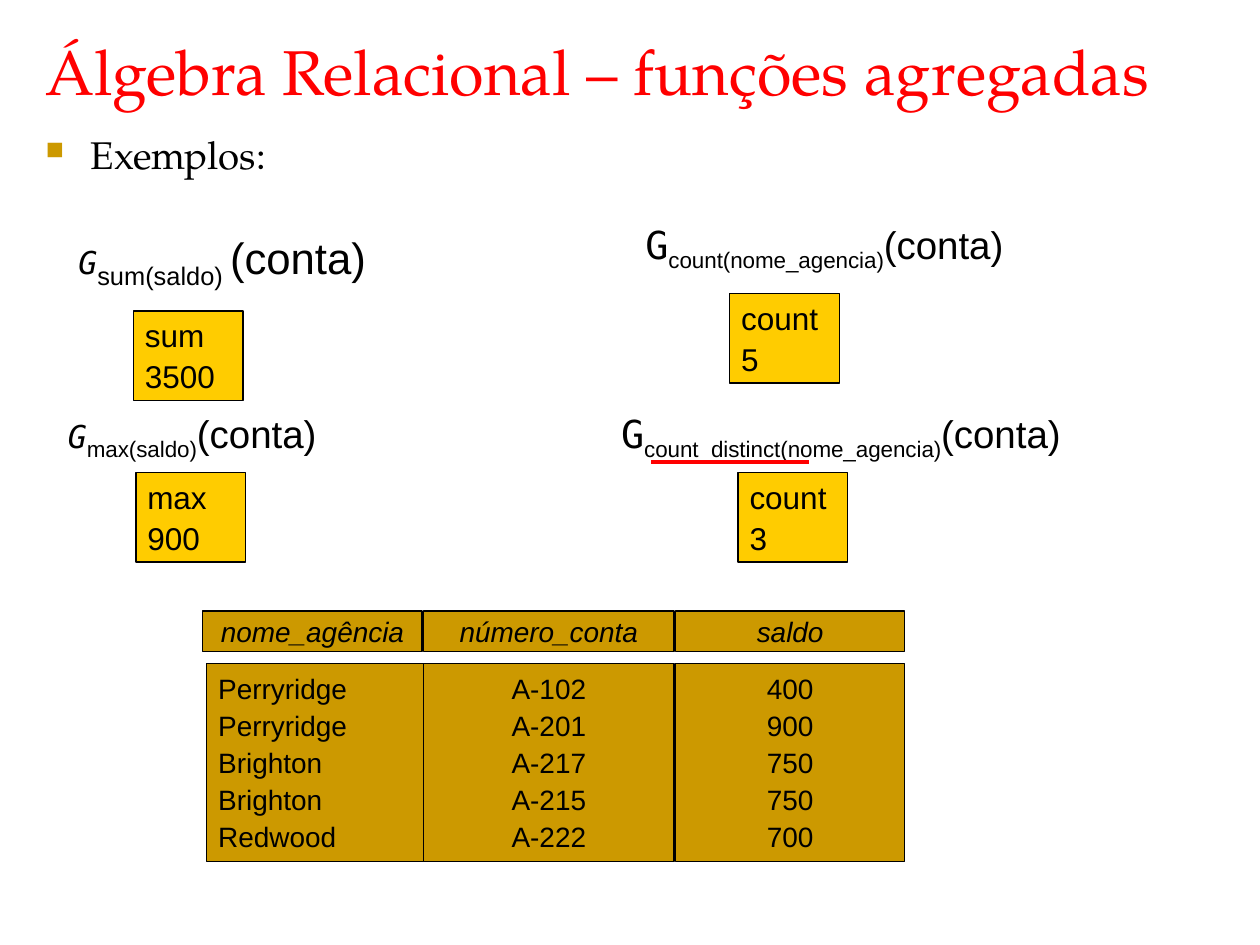
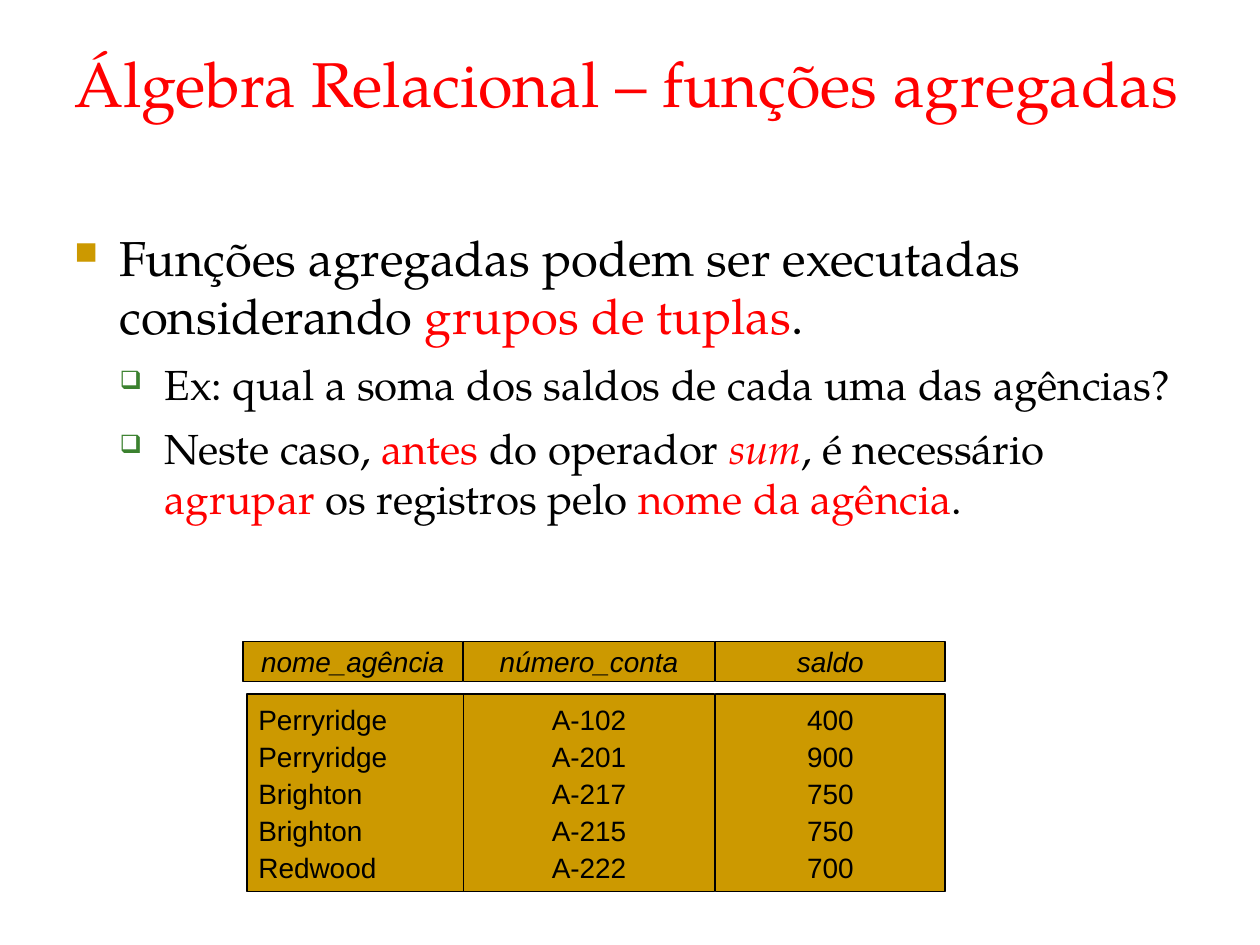
from lxml.etree import SubElement
from pptx import Presentation
from pptx.dml.color import RGBColor
from pptx.enum.shapes import MSO_CONNECTOR, MSO_SHAPE
from pptx.enum.text import MSO_ANCHOR, MSO_AUTO_SIZE, PP_ALIGN
from pptx.oxml.ns import qn
from pptx.util import Cm, Pt

RED = RGBColor(0xFF, 0x00, 0x00)
BLACK = RGBColor(0x00, 0x00, 0x00)
OCHRE = RGBColor(0xCC, 0x99, 0x00)
YELLOW = RGBColor(0xFF, 0xCC, 0x00)
GREEN = RGBColor(0x3B, 0x81, 0x2F)

SERIF, SANS, MONO = "TeX Gyre Pagella", "Arial", "DejaVu Sans Mono"
TITLE = "Álgebra Relacional – funções agregadas"

# Per outline level: character, colour, size in percent, space before in points
BULLETS = [("■", OCHRE, 65, 8.1), ("❑", GREEN, 60, 7.1)]
BULLET_INDENT = 0.91

# Per column of the relation: heading, left offset, width, alignment, values
COLUMNS = [
    ("nome_agência", 0, 4.42, PP_ALIGN.LEFT,
     ["Perryridge", "Perryridge", "Brighton", "Brighton", "Redwood"]),
    ("número_conta", 4.45, 5.05, PP_ALIGN.CENTER,
     ["A-102", "A-201", "A-217", "A-215", "A-222"]),
    ("saldo", 9.53, 4.62, PP_ALIGN.CENTER,
     ["400", "900", "750", "750", "700"]),
]


def add_span(para, text, name, size, color=BLACK, italic=False):
    span = para.add_run()
    span.text = text
    formats = {"name": name, "size": Pt(size), "italic": italic}
    for attribute, value in formats.items():
        setattr(span.font, attribute, value)
    span.font.color.rgb = color
    return span


def set_frame(box, **formats):
    """Give the text frame its insets and any other format values."""
    frame = box.text_frame
    insets = {"margin_left": Cm(0.23), "margin_right": Cm(0.23),
              "margin_top": Cm(0.13), "margin_bottom": Cm(0.13)}
    for attribute, value in {**insets, **formats}.items():
        setattr(frame, attribute, value)
    return frame


def add_text(page, left, top, width, height, **formats):
    box = page.shapes.add_textbox(Cm(left), Cm(top), Cm(width), Cm(height))
    return set_frame(box, **{"word_wrap": True, **formats})


def add_cell(shapes, area, fill, lines, size, align=PP_ALIGN.LEFT,
             italic=False, **formats):
    """Add an outlined rectangle with one paragraph for each line."""
    cell = shapes.add_shape(MSO_SHAPE.RECTANGLE, *map(Cm, area))
    cell.shadow.inherit = False
    cell.fill.solid()
    cell.fill.fore_color.rgb = fill
    cell.line.color.rgb = BLACK
    cell.line.width = Pt(0.75)
    frame = set_frame(cell, **formats)
    for index, line in enumerate(lines):
        para = frame.add_paragraph() if index else frame.paragraphs[0]
        para.alignment = align
        para.space_before = Pt(1 if index else 0)
        para.space_after = Pt(1)
        add_span(para, line, SANS, size, italic=italic)


def add_title(page, left, top):
    frame = add_text(page, left, top, 22.86, 3.18)
    add_span(frame.paragraphs[0], TITLE, SERIF, 36, RED)


def set_bullet(para, level):
    char, color, percent, _ = BULLETS[level]
    para.level = level
    props = para._p.get_or_add_pPr()
    props.set("marL", str(Cm(BULLET_INDENT * (level + 1))))
    props.set("indent", str(-Cm(BULLET_INDENT)))
    SubElement(SubElement(props, qn("a:buClr")), qn("a:srgbClr"), val=str(color))
    SubElement(props, qn("a:buSzPct"), val=str(percent * 1000))
    SubElement(props, qn("a:buChar"), char=char)


def add_outline(page, left, top, width, height, items):
    """Add bullets from (level, size, spans); a span is (text, color, italic)."""
    frame = add_text(page, left, top, width, height)
    for index, (level, size, spans) in enumerate(items):
        para = frame.add_paragraph() if index else frame.paragraphs[0]
        set_bullet(para, level)
        para.space_before = Pt(BULLETS[level][3] if index else 0)
        para.space_after = Pt(0.6)
        for text, *style in spans:
            add_span(para, text, SERIF, size, *style)


def add_relation(page, left, top):
    """Add the account relation: a heading row above one tall cell per column."""
    group = page.shapes.add_group_shape()
    frame = {"vertical_anchor": MSO_ANCHOR.MIDDLE, "word_wrap": False}
    for index, (heading, offset, width, align, values) in enumerate(COLUMNS):
        x = left + offset
        add_cell(group.shapes, (x, top, width, 0.81), OCHRE, [heading], 16,
                 PP_ALIGN.CENTER, italic=True, **frame)
        inset = 0 if index else 0.08
        add_cell(group.shapes, (x + inset, top + 1.06, width, 3.99), OCHRE,
                 values, 16, align, **frame)


def add_formula(page, area, subscript, size, symbol_size, italic, wrap):
    frame = add_text(page, *area, word_wrap=wrap,
                     auto_size=MSO_AUTO_SIZE.SHAPE_TO_FIT_TEXT)
    para = frame.paragraphs[0]
    add_span(para, "G", MONO, symbol_size, italic=italic)
    lowered = add_span(para, subscript, SANS, size)
    lowered._r.get_or_add_rPr().set("baseline", "-25000")
    add_span(para, "(conta)", SANS, size)


def add_result(page, left, top, name, value):
    add_cell(page.shapes, (left, top, 2.21, 1.8), YELLOW, [name, value], 18,
             word_wrap=True, auto_size=MSO_AUTO_SIZE.SHAPE_TO_FIT_TEXT)


def add_underline(page, left, top, width):
    line = page.shapes.add_connector(MSO_CONNECTOR.STRAIGHT, Cm(left), Cm(top),
                                     Cm(left + width), Cm(top))
    line.line.color.rgb = RED
    line.line.width = Pt(2.25)
    SubElement(line._element.spPr, qn("a:effectLst"))


def build_examples(page):
    add_title(page, 0.69, 0.53)
    add_outline(page, 0.69, 2.51, 10.64, 3.61, [(0, 22, [("Exemplos:",)])])
    add_relation(page, 4.09, 12.32)

    add_result(page, 2.69, 6.27, "sum", "3500")
    add_result(page, 2.74, 9.53, "max", "900")
    add_result(page, 14.71, 5.92, "count", "5")
    add_result(page, 14.88, 9.53, "count", "3")

    add_formula(page, (1.35, 4.52, 6.55, 1.45), "sum(saldo) ", 25, 18, True, False)
    add_formula(page, (1.14, 8.13, 5.51, 1.3), "max(saldo)", 22, 18, True, False)
    add_formula(page, (12.78, 4.32, 7.77, 1.3), "count(nome_agencia)",
                22, 22, False, False)
    add_formula(page, (12.29, 8.13, 12.19, 1.3), "count_distinct(nome_agencia)",
                22, 22, False, True)
    add_underline(page, 13.13, 9.32, 3.18)


def build_grouping(page):
    add_title(page, 1.27, 0.76)
    add_outline(page, 1.27, 4.45, 22.86, 12.57, [
        (0, 28, [("Funções agregadas podem ser executadas considerando ",),
                 ("grupos de tuplas", RED), (".",)]),
        (1, 24, [("Ex: qual a soma dos saldos de cada uma das agências?",)]),
        (1, 24, [("Neste caso, ",), ("antes", RED), (" do operador ",),
                 ("sum", RED, True), (", é necessário ",), ("agrupar", RED),
                 (" os registros pelo ",), ("nome da agência", RED), (".",)]),
    ])
    add_relation(page, 4.9, 12.93)


def main():
    deck = Presentation()
    deck.slide_width, deck.slide_height = Cm(25.4), Cm(19.05)
    blank = deck.slide_layouts[6]
    for build in (build_examples, build_grouping):
        build(deck.slides.add_slide(blank))
    deck.save("out.pptx")


if __name__ == "__main__":
    main()
